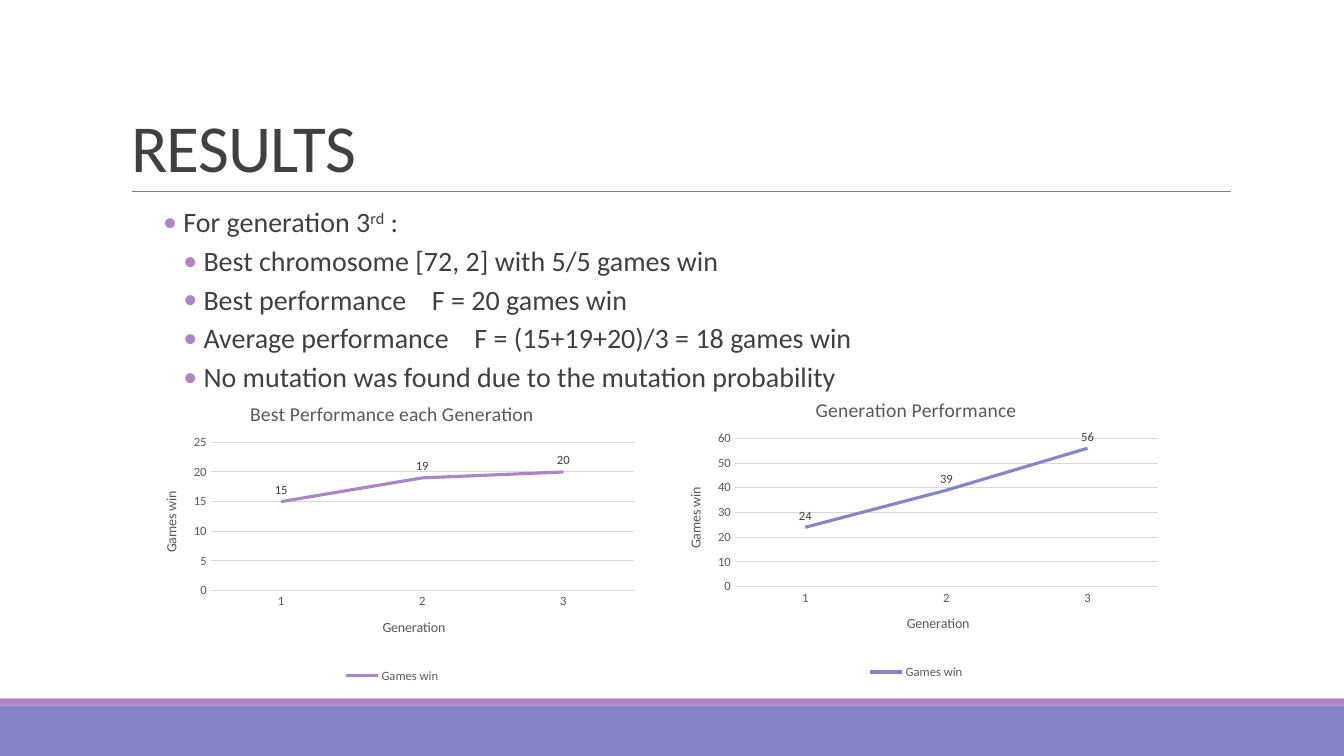
from dataclasses import dataclass

from lxml import etree
from pptx import Presentation
from pptx import util as u
from pptx.chart import data as chart_data
from pptx.dml.color import RGBColor
from pptx.enum import chart as chart_enum
from pptx.enum import shapes, text
from pptx.oxml import ns

FONT = "Calibri"
PURPLE = RGBColor(0xAD, 0x84, 0xC6)
INDIGO = RGBColor(0x87, 0x84, 0xC7)
DARK = RGBColor(0x40, 0x40, 0x40)
GRAY = RGBColor(0x59, 0x59, 0x59)
RULE_GRAY = RGBColor(0x80, 0x80, 0x80)
GRID_GRAY = RGBColor(0xD9, 0xD9, 0xD9)
WIDE_GAP = {"spc": "1360"}
SUPERSCRIPT = {"baseline": "30000"}


@dataclass(frozen=True)
class Band:
    top: float
    height: float
    color: RGBColor


@dataclass(frozen=True)
class Piece:
    text: str
    attributes: dict[str, str] | None = None


@dataclass(frozen=True)
class Bullet:
    indent: float
    pieces: tuple[Piece, ...]


@dataclass(frozen=True)
class LineChart:
    left: float
    top: float
    title: str
    values: tuple[int, ...]
    maximum: int
    step: int
    color: RGBColor


BANDS = (Band(17.78, 1.27, INDIGO), Band(17.6, 0.18, PURPLE))
BULLETS = (
    Bullet(1.57, (Piece("For generation 3"), Piece("rd", SUPERSCRIPT), Piece(" :"))),
    Bullet(2.08, (Piece("Best chromosome [72, 2] with 5/5 games win"),)),
    Bullet(2.08, (Piece("Best performance"), Piece(" ", WIDE_GAP),
                  Piece("F = 20 games win"))),
    Bullet(2.08, (Piece("Average performance"), Piece(" ", WIDE_GAP),
                  Piece("F = (15+19+20)/3 = 18 games win"))),
    Bullet(2.08, (Piece("No mutation was found due to the mutation probability"),)),
)
CHARTS = (
    LineChart(3.53, 9.7, "Best Performance each Generation", (15, 19, 20), 25, 5, PURPLE),
    LineChart(16.74, 9.6, "Generation Performance", (24, 39, 56), 60, 10, INDIGO),
)
PLOT_LAYOUT = {"x": 0.14, "y": 0.19, "w": 0.84, "h": 0.49}


def set_font(font, size: float, color: RGBColor) -> None:
    font.name = FONT
    font.size = u.Pt(size)
    font.bold = False
    font.color.rgb = color


def add_band(slide, band: Band, width: int) -> None:
    shape = slide.shapes.add_shape(
        shapes.MSO_SHAPE.RECTANGLE, 0, u.Cm(band.top), width, u.Cm(band.height))
    shape.shadow.inherit = False
    shape.fill.solid()
    shape.fill.fore_color.rgb = band.color
    shape.line.fill.background()


def add_rule(slide) -> None:
    rule = slide.shapes.add_connector(
        shapes.MSO_CONNECTOR.STRAIGHT, u.Cm(3.33), u.Cm(4.83), u.Cm(31.01), u.Cm(4.83))
    rule.line.color.rgb = RULE_GRAY
    rule.line.width = u.Pt(0.5)
    etree.SubElement(rule._element.spPr, ns.qn("a:effectLst"))


def format_title(slide) -> None:
    title = slide.shapes.title
    title.left, title.top = u.Cm(3.05), u.Cm(0.79)
    title.width, title.height = u.Cm(27.94), u.Cm(4.04)
    frame = title.text_frame
    frame.text = "RESULTS"
    frame.auto_size = text.MSO_AUTO_SIZE.NONE
    frame.vertical_anchor = text.MSO_ANCHOR.BOTTOM
    paragraph = frame.paragraphs[0]
    paragraph.alignment = text.PP_ALIGN.LEFT
    paragraph.line_spacing = 0.85
    run = paragraph.runs[0]
    set_font(run.font, 48, DARK)
    run._r.get_or_add_rPr().set("spc", "-50")


def add_bullet(paragraph, bullet: Bullet) -> None:
    paragraph.line_spacing = 0.9
    paragraph.space_before = u.Pt(2)
    paragraph.space_after = u.Pt(4)
    properties = paragraph._p.get_or_add_pPr()
    properties.set("marL", str(u.Cm(bullet.indent)))
    properties.set("indent", str(u.Cm(-0.51)))
    bullet_color = etree.SubElement(properties, ns.qn("a:buClr"))
    etree.SubElement(bullet_color, ns.qn("a:srgbClr"), val=str(PURPLE))
    etree.SubElement(properties, ns.qn("a:buFont"), typeface=FONT)
    etree.SubElement(properties, ns.qn("a:buChar"), char="•")
    for piece in bullet.pieces:
        run = paragraph.add_run()
        run.text = piece.text
        set_font(run.font, 20, DARK)
        for name, value in (piece.attributes or {}).items():
            run._r.get_or_add_rPr().set(name, value)


def add_body(slide) -> None:
    body = slide.shapes.add_textbox(u.Cm(3.05), u.Cm(5.13), u.Cm(27.94), u.Cm(12.09))
    frame = body.text_frame
    frame.word_wrap = True
    frame.margin_left = frame.margin_right = 0
    for index, bullet in enumerate(BULLETS):
        paragraph = frame.add_paragraph() if index else frame.paragraphs[0]
        add_bullet(paragraph, bullet)


def set_chart_title(owner, wording: str, size: float) -> None:
    frame = owner.text_frame
    frame.text = wording
    set_font(frame.paragraphs[0].runs[0].font, size, GRAY)


def set_plot_layout(chart) -> None:
    plot_area = chart._chartSpace.chart.plotArea
    for old_layout in plot_area.findall(ns.qn("c:layout")):
        plot_area.remove(old_layout)
    layout = etree.Element(ns.qn("c:layout"))
    plot_area.insert(0, layout)
    manual = etree.SubElement(layout, ns.qn("c:manualLayout"))
    settings = {"layoutTarget": "inner", "xMode": "edge", "yMode": "edge", **PLOT_LAYOUT}
    for name, value in settings.items():
        etree.SubElement(manual, ns.qn(f"c:{name}"), val=str(value))


def add_line_chart(slide, item: LineChart) -> None:
    data = chart_data.CategoryChartData()
    data.categories = ["1", "2", "3"]
    data.add_series("Games win", item.values)
    chart = slide.shapes.add_chart(
        chart_enum.XL_CHART_TYPE.LINE, u.Cm(item.left), u.Cm(item.top),
        u.Cm(12.7), u.Cm(7.62), data).chart
    set_font(chart.font, 10, GRAY)
    chart.has_title = True
    set_chart_title(chart.chart_title, item.title, 14)
    chart.has_legend = True
    chart.legend.position = chart_enum.XL_LEGEND_POSITION.BOTTOM
    chart.legend.include_in_layout = False
    set_font(chart.legend.font, 9, GRAY)

    category_axis, value_axis = chart.category_axis, chart.value_axis
    for axis, wording in ((category_axis, "Generation"), (value_axis, "Games win")):
        axis.has_title = True
        set_chart_title(axis.axis_title, wording, 10)
        set_font(axis.tick_labels.font, 9, GRAY)
        axis.major_tick_mark = axis.minor_tick_mark = chart_enum.XL_TICK_MARK.NONE
    category_axis.format.line.color.rgb = GRID_GRAY
    category_axis.format.line.width = u.Pt(0.75)
    value_axis.format.line.fill.background()
    value_axis.minimum_scale, value_axis.maximum_scale = 0, item.maximum
    value_axis.major_unit = item.step
    value_axis.major_gridlines.format.line.color.rgb = GRID_GRAY
    value_axis.major_gridlines.format.line.width = u.Pt(0.75)

    plot = chart.plots[0]
    plot.vary_by_categories = False
    series = plot.series[0]
    series.smooth = False
    series.format.line.color.rgb = item.color
    series.format.line.width = u.Pt(2.25)
    labels = series.data_labels
    labels.show_value = True
    labels.position = chart_enum.XL_LABEL_POSITION.ABOVE
    set_font(labels.font, 9, DARK)
    set_plot_layout(chart)


def main() -> None:
    presentation = Presentation()
    presentation.slide_width, presentation.slide_height = u.Cm(33.87), u.Cm(19.05)
    slide = presentation.slides.add_slide(presentation.slide_layouts[5])
    for band in BANDS:
        add_band(slide, band, presentation.slide_width)
    add_rule(slide)
    format_title(slide)
    add_body(slide)
    for item in CHARTS:
        add_line_chart(slide, item)
    presentation.save("out.pptx")


if __name__ == "__main__":
    main()
